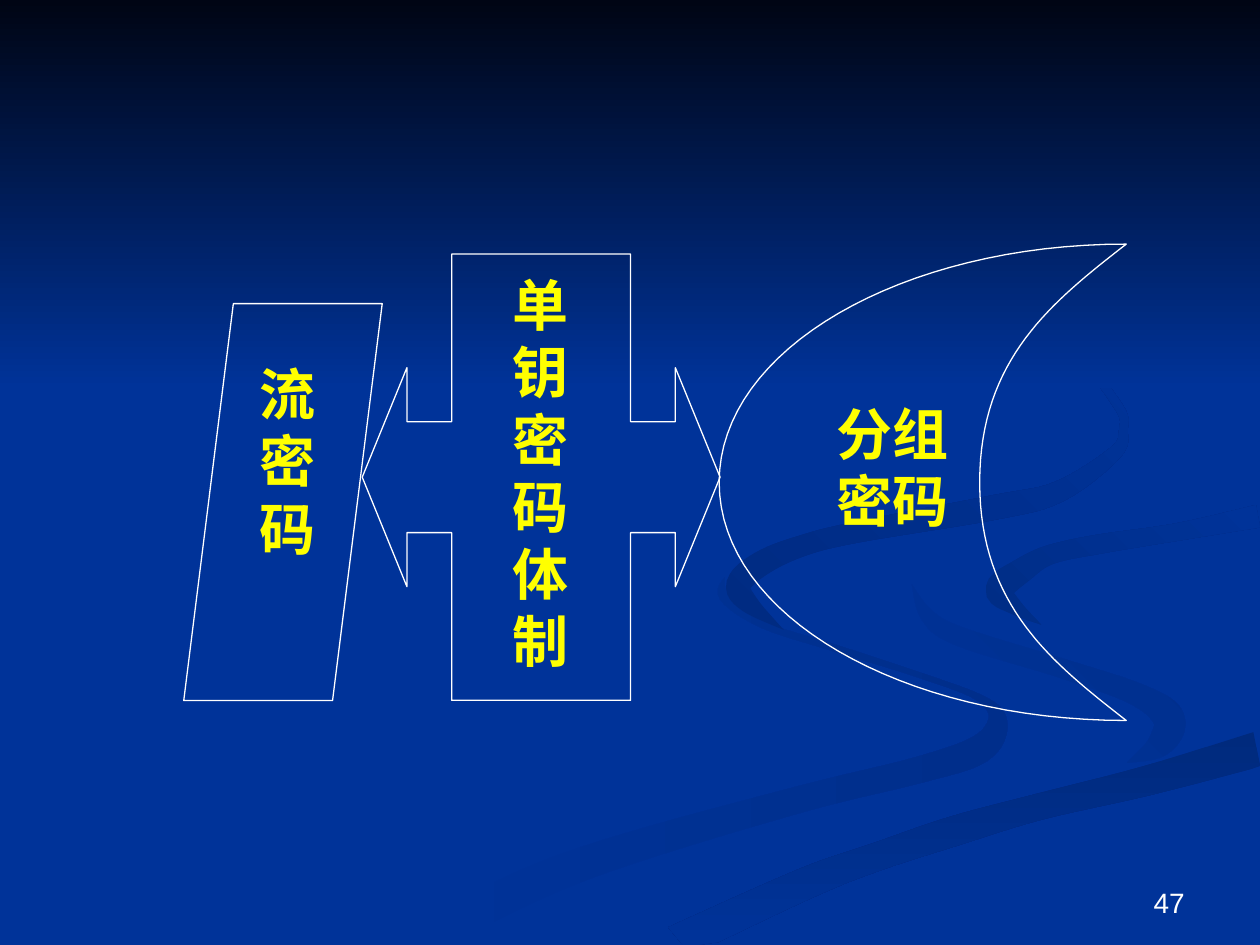
from dataclasses import dataclass
from math import hypot

from pptx import Presentation
from pptx.dml.color import RGBColor
from pptx.enum.shapes import MSO_SHAPE
from pptx.enum.text import MSO_ANCHOR, PP_ALIGN
from pptx.util import Pt

PARALLELOGRAM = MSO_SHAPE.PARALLELOGRAM
CALLOUT = MSO_SHAPE.LEFT_RIGHT_ARROW_CALLOUT
TOP, BOTTOM = MSO_ANCHOR.TOP, MSO_ANCHOR.BOTTOM
CENTER, RIGHT = PP_ALIGN.CENTER, PP_ALIGN.RIGHT
SLIDE_WIDTH, SLIDE_HEIGHT = 720, 540
UNITS_PER_POINT = 100


@dataclass(frozen=True)
class Theme:
    """Colours, font and sizes of the slide."""
    background: str = "003399"
    night: str = "000514"
    bend_shade: str = "002E8B"
    river_shade: str = "002A7D"
    inlet_shade: str = "002D86"
    crest_shade: str = "002B82"
    outline: str = "FFFFFF"
    label: str = "FFFF00"
    number: str = "FFFFFF"
    font: str = "Arial"
    label_size: int = 32
    number_size: int = 16
    outline_width: float = 0.75


@dataclass(frozen=True)
class Stream:
    """A ribbon through knots of x, y and breadth, with its gradient."""
    start: str
    end: str
    angle: int
    knots: tuple


THEME = Theme()

STREAMS = (
    Stream(THEME.background, THEME.bend_shade, 0, (
        (414, 330, 0), (414, 341, 6), (436, 357, 4), (476, 370, 4), (526, 386, 3),
        (560, 399, 4), (570, 412, 11), (560, 428, 16), (525, 440, 15), (460, 456, 15),
        (359, 485, 18), (300, 507, 20), (238, 539, 20))),
    Stream(THEME.background, THEME.bend_shade, 315, (
        (521, 334, 0), (530, 352, 8), (549, 364, 11), (607, 382, 11), (650, 397, 13),
        (668, 411, 18), (662, 426, 14), (644, 436, 0))),
    Stream(THEME.river_shade, THEME.background, 90, (
        (719, 428, 20), (656, 446, 17), (594, 461, 15), (545, 475, 17), (500, 490, 16),
        (460, 505, 18), (386, 539, 20))),
    Stream(THEME.inlet_shade, THEME.background, 315, (
        (719, 295, 13), (673, 304, 10), (628, 311, 11), (600, 317, 11), (584, 326, 14),
        (571, 337, 16), (580, 347, 9), (595, 357, 0))),
    Stream(THEME.crest_shade, THEME.background, 315, (
        (549, 168, 0), (612, 202, 4), (639, 232, 5), (642, 246, 5), (637, 259, 8),
        (605, 281, 12), (568, 290, 14), (490, 304, 12), (458, 312, 12), (435, 322, 14),
        (422, 334, 14), (428, 345, 11), (448, 360, 0))),
)

CRESCENT_OUTER = ((0, 0.5), (0, 0.22), (0.45, 0), (1, 0))
CRESCENT_INNER = ((1, 0), (0.82, 0.12), (0.64, 0.24), (0.64, 0.5))


def color(value):
    """Return the colour for a hexadecimal value."""
    return RGBColor.from_string(value)


def curve(controls, steps):
    """Return the points of a cubic curve, without its last one."""
    points = []
    for step in range(steps):
        t = step / steps
        weights = ((1 - t) ** 3, 3 * t * (1 - t) ** 2, 3 * t * t * (1 - t), t ** 3)
        points.append(tuple(sum(weight * value for weight, value in zip(weights, axis))
                            for axis in zip(*controls)))
    return points


def smooth_line(knots, steps=6):
    """Return points on a smooth line that passes through every knot."""
    padded = (knots[0], *knots, knots[-1])
    points = []
    for before, start, end, after in zip(padded, padded[1:], padded[2:], padded[3:]):
        leave = tuple(s + (e - b) / 6 for b, s, e in zip(before, start, end))
        arrive = tuple(e - (a - s) / 6 for s, e, a in zip(start, end, after))
        points += curve((start, leave, arrive, end), steps)
    return points + [knots[-1]]


def ribbon(knots):
    """Return the outline of a band whose breadth follows its knots."""
    line = smooth_line(knots)
    near, far = [], []
    for before, (x, y, breadth), after in zip(line[:1] + line, line, line[1:] + line[-1:]):
        run, rise = after[0] - before[0], after[1] - before[1]
        scale = breadth / 2 / hypot(run, rise)
        for side, sign in ((near, 1), (far, -1)):
            side.append((min(x - sign * rise * scale, SLIDE_WIDTH),
                         min(y + sign * run * scale, SLIDE_HEIGHT)))
    return near + far[::-1]


def add_outline(slide, points):
    """Add a closed freeform through points and return it."""
    scaled = [(x * UNITS_PER_POINT, y * UNITS_PER_POINT) for x, y in points]
    builder = slide.shapes.build_freeform(*scaled[0], scale=Pt(1) / UNITS_PER_POINT)
    builder.add_line_segments(scaled[1:], close=True)
    shape = builder.convert_to_shape()
    shape.shadow.inherit = False
    return shape


def fill_gradient(shape, start, end, angle):
    """Fill a shape with a borderless gradient at a clockwise angle."""
    shape.line.fill.background()
    shape.fill.gradient()
    shape.fill.gradient_angle = 360 - angle
    for stop, value in zip(shape.fill.gradient_stops, (start, end)):
        stop.color.rgb = color(value)


def style_outline(shape):
    """Leave a shape hollow with a thin light border."""
    shape.shadow.inherit = False
    shape.fill.background()
    shape.line.color.rgb = color(THEME.outline)
    shape.line.width = Pt(THEME.outline_width)


def add_text(slide, box, lines, size, value, alignment=CENTER, anchor=TOP, bold=True):
    """Write one paragraph per line in a box."""
    frame = slide.shapes.add_textbox(*map(Pt, box)).text_frame
    frame.word_wrap = True
    frame.vertical_anchor = anchor
    for index, line in enumerate(lines):
        paragraph = frame.add_paragraph() if index else frame.paragraphs[0]
        paragraph.alignment = alignment
        run = paragraph.add_run()
        run.text = line
        run.font.name = THEME.font
        run.font.size = Pt(size)
        run.font.bold = bold
        run.font.color.rgb = color(value)


def add_label(slide, box, *lines):
    """Write a label in the large bold type."""
    add_text(slide, box, lines, THEME.label_size, THEME.label)


def add_preset(slide, kind, box, *adjustments):
    """Add a hollow preset shape with its adjustments."""
    shape = slide.shapes.add_shape(kind, *map(Pt, box))
    for index, value in enumerate(adjustments):
        shape.adjustments[index] = value
    style_outline(shape)


def add_backdrop(slide, sky_box):
    """Paint the streams and the dark sky over the background."""
    slide.background.fill.solid()
    slide.background.fill.fore_color.rgb = color(THEME.background)
    for stream in STREAMS:
        shape = add_outline(slide, ribbon(stream.knots))
        fill_gradient(shape, stream.start, stream.end, stream.angle)
    left, top, width, height = sky_box
    right, bottom = left + width, top + height
    sky = add_outline(slide, [(left, top), (left, bottom), (right, bottom), (right, top)])
    fill_gradient(sky, THEME.night, THEME.background, 90)


def add_page_number(slide, box):
    """Write the page number in the lower right corner."""
    add_text(slide, box, ["47"], THEME.number_size, THEME.number, RIGHT, BOTTOM, False)


def add_single_key(slide, box):
    """Place the two-way arrow callout with its vertical label."""
    left, top, width, height = box
    shaft, head_breadth, head_length, body = 0.31, 0.306, 0.125, 0.5
    add_preset(slide, CALLOUT, box, shaft, head_breadth, head_length, body)
    add_label(slide, (left + 62.5, top + 6, 79, height - 17), *"单钥密码体制")


def add_stream_cipher(slide, box):
    """Place the parallelogram with its label."""
    left, top, _, _ = box
    add_preset(slide, PARALLELOGRAM, box, 0.25)
    add_label(slide, (left + 34, top + 28.5, 51, 122), "流密码")


def add_block_cipher(slide, box):
    """Place the crescent, mirrored about its middle, with its label."""
    left, top, width, height = box
    upper = curve(CRESCENT_OUTER, 32) + curve(CRESCENT_INNER, 32) + [CRESCENT_INNER[-1]]
    lower = [(x, 1 - y) for x, y in reversed(upper)]
    crescent = [(left + x * width, top + y * height) for x, y in upper + lower]
    style_outline(add_outline(slide, crescent))
    add_label(slide, (left + 56.5, top + 85, 85, 84), "分组密码")


def main():
    """Build the slide and save it."""
    presentation = Presentation()
    presentation.slide_width, presentation.slide_height = Pt(SLIDE_WIDTH), Pt(SLIDE_HEIGHT)
    slide = presentation.slides.add_slide(presentation.slide_layouts[6])
    add_backdrop(slide, (0, 0, SLIDE_WIDTH, 222))
    add_page_number(slide, (516, 492, 168, 37))
    add_single_key(slide, (207, 145.2, 204.5, 255))
    add_stream_cipher(slide, (105, 173.5, 113.4, 226.8))
    add_block_cipher(slide, (411, 139.5, 232.6, 272.2))
    presentation.save("out.pptx")


if __name__ == "__main__":
    main()
